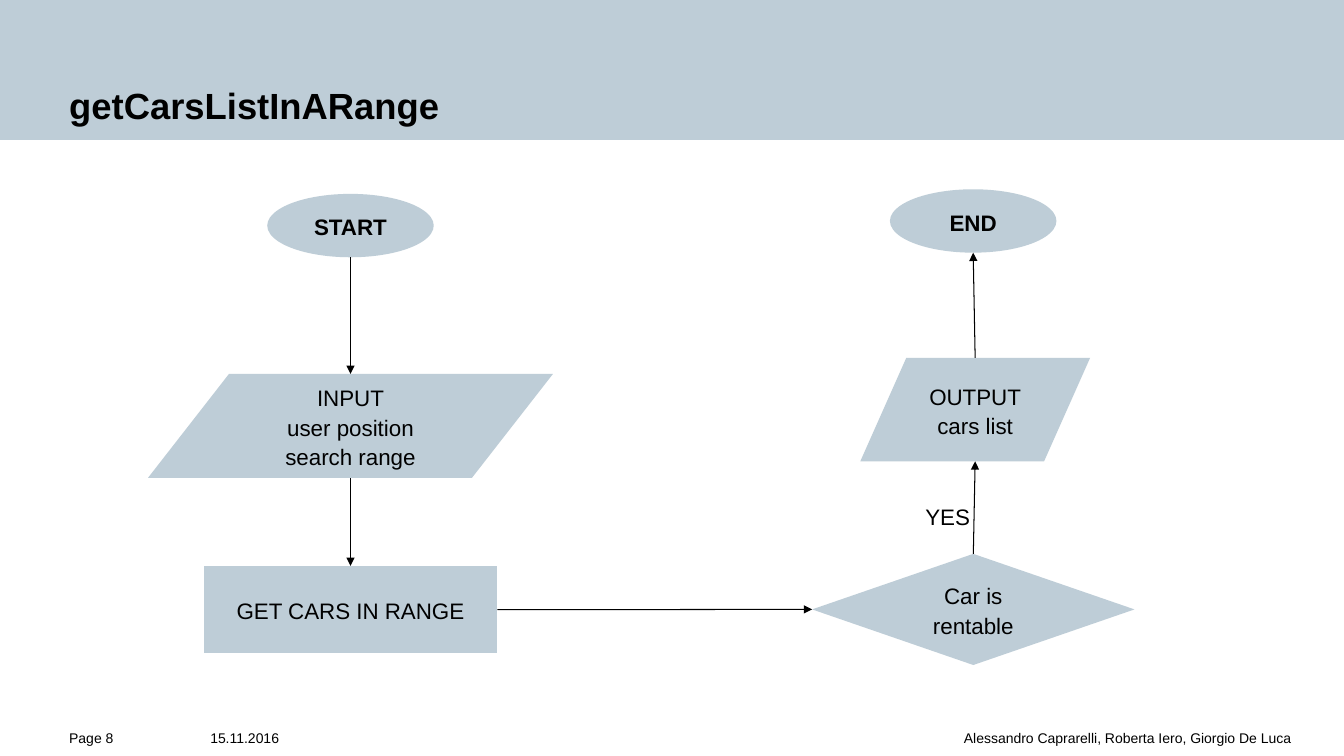
from dataclasses import dataclass

from lxml.etree import SubElement
from pptx import Presentation
from pptx.dml.color import RGBColor
from pptx.enum.shapes import MSO_CONNECTOR, MSO_SHAPE
from pptx.enum.text import MSO_ANCHOR, PP_ALIGN
from pptx.oxml.ns import qn
from pptx.shapes.base import BaseShape
from pptx.slide import Slide
from pptx.util import Pt

COLORS = {"panel": "BECDD7", "ink": "000000"}
FONT = "Arial"
SLIDE_WIDTH, SLIDE_HEIGHT = 960.5, 540
BAND_HEIGHT = 100
FOOTER_TOP, FOOTER_HEIGHT = 519.8, 20.2


@dataclass(frozen=True)
class Box:
    left: float
    top: float
    width: float
    height: float

    def point(self, side: str) -> tuple[float, float]:
        """Return the middle of the named side."""
        center_x, center_y = self.left + self.width / 2, self.top + self.height / 2
        return {
            "top": (center_x, self.top),
            "bottom": (center_x, self.top + self.height),
            "left": (self.left, center_y),
            "right": (self.left + self.width, center_y),
        }[side]

    def lengths(self) -> list[Pt]:
        return [Pt(value) for value in (self.left, self.top, self.width, self.height)]


@dataclass(frozen=True)
class TextStyle:
    size: float = 16
    bold: bool = False
    align: PP_ALIGN = PP_ALIGN.CENTER
    anchor: MSO_ANCHOR = MSO_ANCHOR.MIDDLE
    insets: tuple[float, float, float, float] = (8.6, 4.3, 8.6, 4.3)
    line_spacing: float = 1.1


@dataclass(frozen=True)
class Step:
    kind: MSO_SHAPE
    box: Box
    text: str
    bold: bool = False


@dataclass(frozen=True)
class Flow:
    source: str
    source_side: str
    target: str
    target_side: str


@dataclass(frozen=True)
class Label:
    box: Box
    text: str
    style: TextStyle


def footer_label(left: float, width: float, text: str, left_inset: float = 0,
                 right_inset: float = 0, align: PP_ALIGN = PP_ALIGN.LEFT) -> Label:
    style = TextStyle(10, align=align, anchor=MSO_ANCHOR.TOP,
                      insets=(left_inset, 0, right_inset, 9.4))
    return Label(Box(left, FOOTER_TOP, width, FOOTER_HEIGHT), text, style)


BAND = Box(0, 0, SLIDE_WIDTH, BAND_HEIGHT)

STEPS = {
    "input": Step(MSO_SHAPE.FLOWCHART_DATA, Box(105.8, 267.1, 289.4, 74.2),
                  "INPUT\nuser position\nsearch range"),
    "start": Step(MSO_SHAPE.OVAL, Box(191, 138.5, 119, 45.3), "START", True),
    "end": Step(MSO_SHAPE.OVAL, Box(636, 135.2, 119, 45.3), "END", True),
    "get cars": Step(MSO_SHAPE.FLOWCHART_PROCESS, Box(145.6, 404.2, 209.8, 62.6),
                     "GET CARS IN RANGE"),
    "output": Step(MSO_SHAPE.FLOWCHART_DATA, Box(614.8, 255.7, 164.2, 73.8),
                   "OUTPUT\ncars list"),
    "rentable": Step(MSO_SHAPE.FLOWCHART_DECISION, Box(580.4, 395.6, 230.4, 79.4),
                     "Car is rentable"),
}

FLOWS = [
    Flow("start", "bottom", "input", "top"),
    Flow("input", "bottom", "get cars", "top"),
    Flow("get cars", "right", "rentable", "left"),
    Flow("rentable", "top", "output", "bottom"),
    Flow("output", "top", "end", "bottom"),
]

LABELS = [
    Label(BAND, "getCarsListInARange",
          TextStyle(26, True, PP_ALIGN.LEFT, MSO_ANCHOR.BOTTOM, (49.5, 31, 167, 18.7), 1)),
    Label(Box(650.2, 355.7, 54, 24.5), "YES", TextStyle(insets=(0, 0, 0, 0))),
    footer_label(0, 309.6, "15.11.2016", left_inset=150.3),
    footer_label(0, 139, "Page 8", left_inset=49.5),
    footer_label(298, 662.5, "Alessandro Caprarelli, Roberta Iero, Giorgio De Luca",
                 right_inset=38, align=PP_ALIGN.RIGHT),
]


def color(name: str) -> RGBColor:
    return RGBColor.from_string(COLORS[name])


def write_text(shape: BaseShape, text: str, style: TextStyle) -> None:
    frame = shape.text_frame
    frame.text = text
    frame.word_wrap = True
    frame.vertical_anchor = style.anchor
    (frame.margin_left, frame.margin_top,
     frame.margin_right, frame.margin_bottom) = map(Pt, style.insets)
    for paragraph in frame.paragraphs:
        paragraph.alignment = style.align
        paragraph.line_spacing = style.line_spacing
        for run in paragraph.runs:
            run.font.name = FONT
            run.font.size = Pt(style.size)
            run.font.bold = style.bold
            run.font.color.rgb = color("ink")


def add_panel(slide: Slide, kind: MSO_SHAPE, box: Box) -> BaseShape:
    """Add a borderless shape in the panel colour."""
    shape = slide.shapes.add_shape(kind, *box.lengths())
    shape.shadow.inherit = False
    shape.fill.solid()
    shape.fill.fore_color.rgb = color("panel")
    shape.line.fill.background()
    return shape


def add_step(slide: Slide, step: Step) -> None:
    shape = add_panel(slide, step.kind, step.box)
    write_text(shape, step.text, TextStyle(bold=step.bold))


def add_label(slide: Slide, label: Label) -> None:
    shape = slide.shapes.add_textbox(*label.box.lengths())
    write_text(shape, label.text, label.style)


def add_flow(slide: Slide, flow: Flow) -> None:
    begin = STEPS[flow.source].box.point(flow.source_side)
    end = STEPS[flow.target].box.point(flow.target_side)
    connector = slide.shapes.add_connector(MSO_CONNECTOR.STRAIGHT, *map(Pt, begin + end))
    connector.line.color.rgb = color("ink")
    connector.line.width = Pt(0.75)
    SubElement(connector.line._get_or_add_ln(), qn("a:tailEnd"), type="triangle")
    SubElement(connector._element.spPr, qn("a:effectLst"))


def main() -> None:
    presentation = Presentation()
    presentation.slide_width = Pt(SLIDE_WIDTH)
    presentation.slide_height = Pt(SLIDE_HEIGHT)
    slide = presentation.slides.add_slide(presentation.slide_layouts[6])
    add_panel(slide, MSO_SHAPE.RECTANGLE, BAND)
    for step in STEPS.values():
        add_step(slide, step)
    for flow in FLOWS:
        add_flow(slide, flow)
    for label in LABELS:
        add_label(slide, label)
    presentation.save("out.pptx")


if __name__ == "__main__":
    main()
